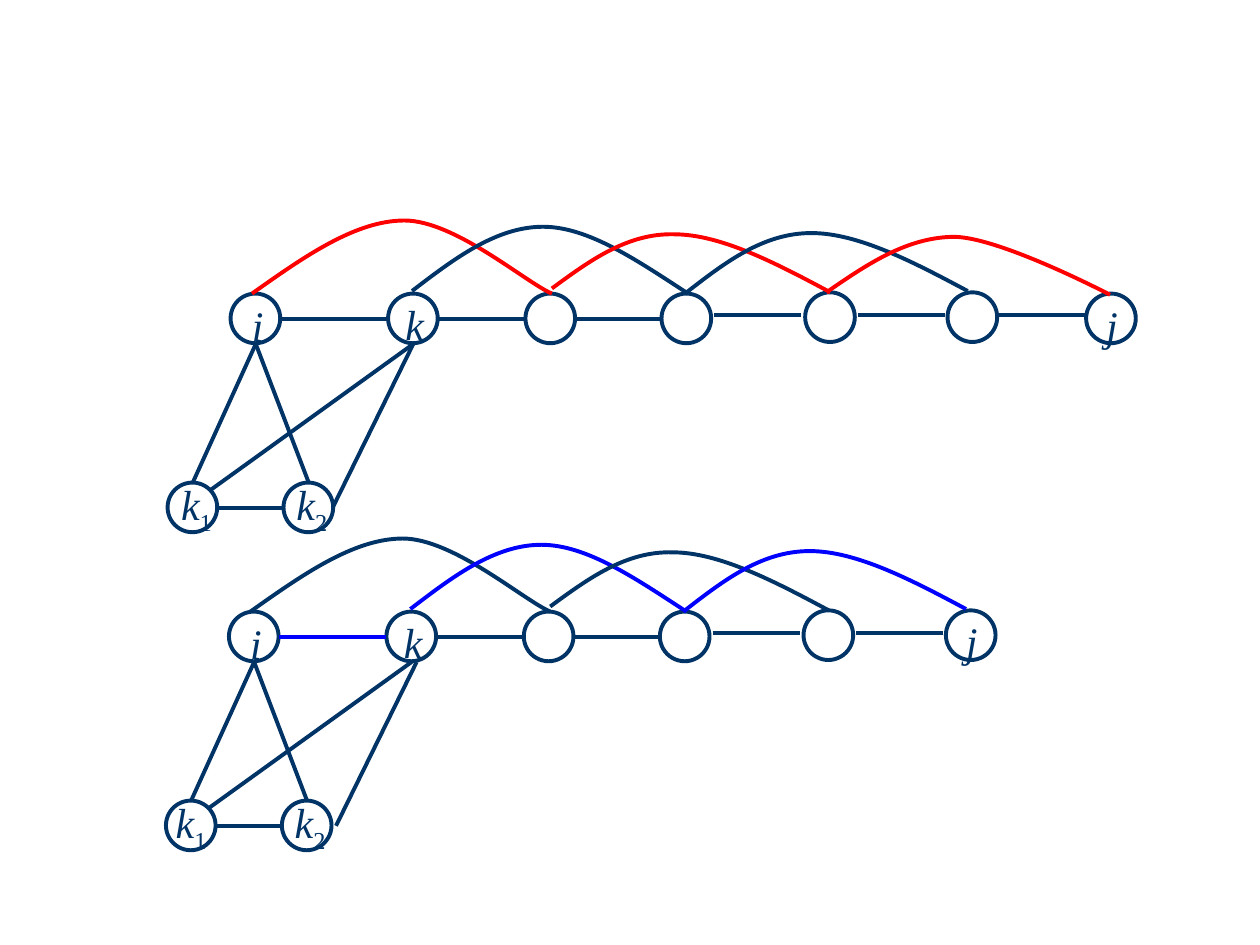
import pptx
import pptx.util
import pptx.dml.color
import pptx.enum.shapes
import pptx.enum.text
import pptx.oxml.ns
import pptx.oxml.xmlchemy

NAVY, RED, BLUE = "003366", "FF0000", "0000FF"

presentation = pptx.Presentation()
presentation.slide_width = pptx.util.Inches(10)
presentation.slide_height = pptx.util.Inches(7.5)
column = presentation.slide_width / 100
row = presentation.slide_height / 75
slide = presentation.slides.add_slide(presentation.slide_layouts[6])


def set_line(line, color):
    line.color.rgb = pptx.dml.color.RGBColor.from_string(color)
    line.width = pptx.util.Pt(2.25)


def add_text(text, left, top, width, height, subscript="", size=24, color=NAVY, font="Times New Roman"):
    box = slide.shapes.add_textbox(*(round(v) for v in (left * column, top * row, width * column, height * row)))
    frame = box.text_frame
    frame.word_wrap = True
    frame.auto_size = pptx.enum.text.MSO_AUTO_SIZE.SHAPE_TO_FIT_TEXT
    paragraph = frame.paragraphs[0]
    paragraph.alignment = pptx.enum.text.PP_ALIGN.CENTER
    for content, italic in ((text, True), (subscript, False)):
        if content:
            run = paragraph.add_run()
            run.text = content
            run.font.size = pptx.util.Pt(size)
            run.font.name = font
            run.font.italic = italic
            run.font.color.rgb = pptx.dml.color.RGBColor.from_string(color)
            if not italic:
                run.font._element.set("baseline", "-25000")


diameter = 3.94
path_nodes = [(18.3, 23.3), (30.8, 23.3), (41.7, 23.3), (52.5, 23.3), (63.9, 23.2), (75.2, 23.2), (86.2, 23.3)]
lower_nodes = [(22.5, 38.3), (13.3, 38.3)]
path_edges = [
    (22.3, 30.8, 25.3), (34.8, 41.7, 25.3), (45.6, 52.5, 25.3),
    (56.7, 63.6, 25), (68.1, 75, 25), (79.2, 86.1, 25),
]
arcs = [
    [(20, 23.3), (24.1, 20.4), (28.2, 17.5), (32.1, 17.5), (36.1, 17.5), (41.7, 22.4), (43.8, 23.3)],
    [(32.7, 23.1), (36.1, 20.5), (39.4, 18), (43.1, 18), (46.7, 18), (50.6, 20.7), (54.6, 23.3)],
    [(43.8, 22.9), (46.8, 20.7), (49.8, 18.5), (53.5, 18.6), (57.2, 18.6), (61.6, 20.9), (65.9, 23.2)],
    [(54.5, 23.2), (57.6, 20.8), (60.6, 18.5), (64.4, 18.5), (68.1, 18.5), (72.5, 20.8), (76.8, 23.1)],
    [(65.6, 23.2), (68.8, 21), (72, 18.8), (75.8, 18.8), (79.5, 18.9), (88.1, 23.4), (88.1, 23.4)],
]
graphs = [
    dict(dx=0, dy=0, nodes=7, first_edge=NAVY, arc_colors=[RED, NAVY, RED, NAVY, RED],
         end_label=(86.6, 23.3), k1_left=12.6, k2_left=21.6, outer_shift=0),
    dict(dx=-0.13, dy=25.24, nodes=6, first_edge=BLUE, arc_colors=[NAVY, BLUE, NAVY, BLUE],
         end_label=(75.6, 23.1), k1_left=12.3, k2_left=21.6, outer_shift=0.4),
]

for graph in graphs:
    dx, dy, count = graph["dx"], graph["dy"], graph["nodes"]

    for left, top in path_nodes[:count] + lower_nodes:
        circle = slide.shapes.add_shape(
            pptx.enum.shapes.MSO_SHAPE.OVAL, round((left + dx) * column), round((top + dy) * row),
            round(diameter * column), round(diameter * row))
        circle.shadow.inherit = False
        circle.fill.background()
        set_line(circle.line, NAVY)

    edges = [(start, y, end, y, NAVY) for start, end, y in path_edges[:count - 1]]
    edges[0] = edges[0][:4] + (graph["first_edge"],)
    shift = graph["outer_shift"]
    edges += [
        (20.3, 27.3, 15.3, 38.3, NAVY),
        (20.3, 27.3, 24.5, 38.3, NAVY),
        (16.7, 38.9, 32.8, 27.3, NAVY),
        (26.4 + shift, 40.3, 32.8 + shift, 27.3, NAVY),
        (17.3, 40.3, 22.5, 40.3, NAVY),
    ]
    for x1, y1, x2, y2, color in edges:
        edge = slide.shapes.add_connector(
            pptx.enum.shapes.MSO_CONNECTOR.STRAIGHT, round((x1 + dx) * column), round((y1 + dy) * row),
            round((x2 + dx) * column), round((y2 + dy) * row))
        set_line(edge.line, color)
        edge._element.spPr.append(pptx.oxml.xmlchemy.OxmlElement("a:effectLst"))

    for points, color in zip(arcs, graph["arc_colors"]):
        points = [(round((x + dx) * column), round((y + dy) * row)) for x, y in points]
        builder = slide.shapes.build_freeform(*points[0])
        builder.add_line_segments(points[1:], close=False)
        arc = builder.convert_to_shape()
        arc.shadow.inherit = False
        arc.fill.background()
        set_line(arc.line, color)
        segments = list(arc._element.iter(pptx.oxml.ns.qn("a:lnTo")))
        outline = segments[0].getparent()
        for first in range(0, len(segments), 3):
            curve = pptx.oxml.xmlchemy.OxmlElement("a:cubicBezTo")
            for segment in segments[first:first + 3]:
                curve.append(segment[0])
                outline.remove(segment)
            outline.append(curve)

    end_left, end_top = graph["end_label"]
    for letter, left, top in (("i", 18.8, 23.3), ("k", 31.2, 23.2), ("j", end_left, end_top)):
        add_text(letter, left + dx, top + dy, 3.3, 5)
    add_text("k", graph["k1_left"] + dx, 37.5 + dy, 6, 5.6, subscript="1")
    add_text("k", graph["k2_left"] + dx, 37.5 + dy, 6.3, 5.6, subscript="2")

presentation.save("out.pptx")
